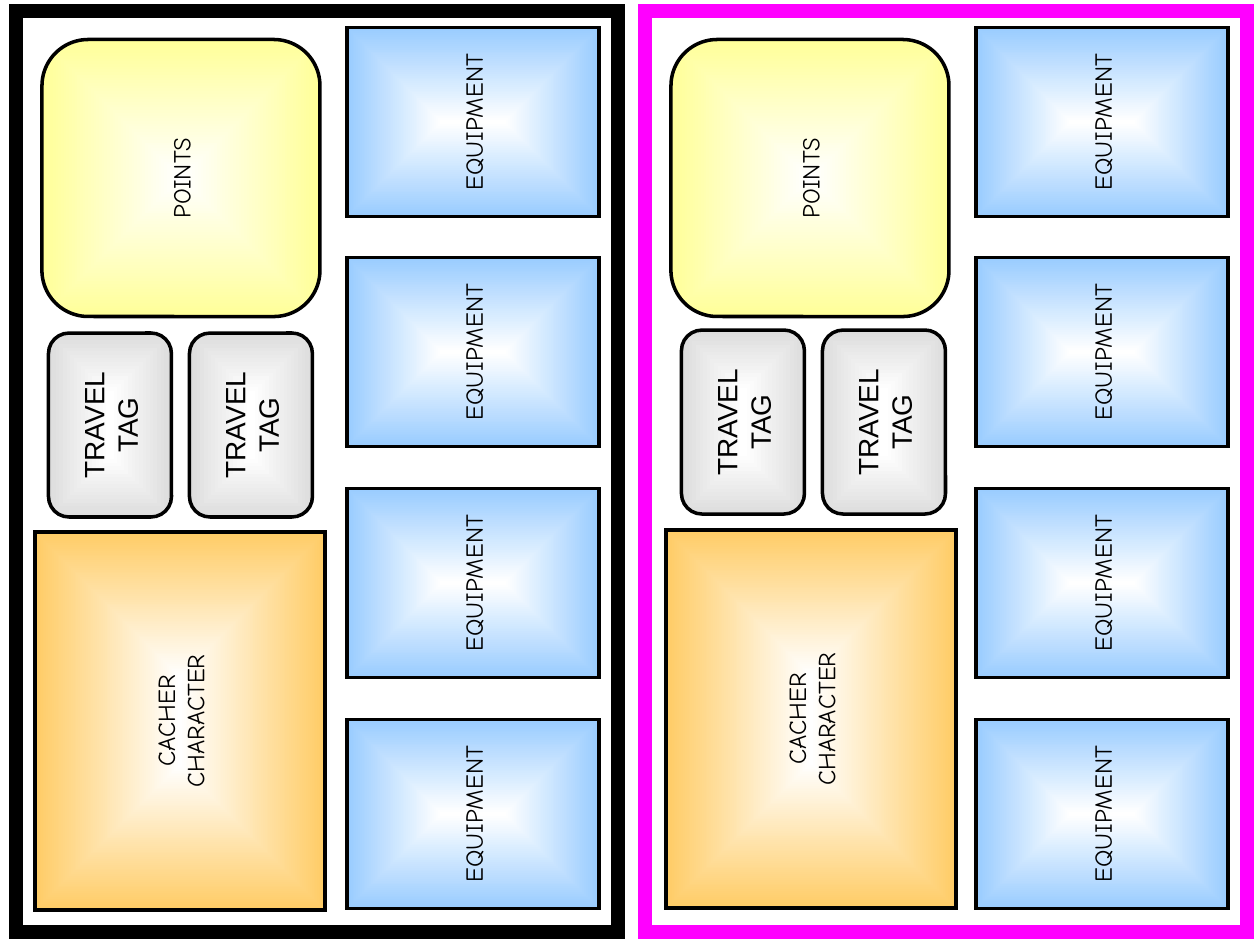
"""Build a slide with two game boards of turned card slots."""
from dataclasses import dataclass

from lxml.etree import SubElement
from pptx import Presentation
from pptx.dml.color import RGBColor as Color
from pptx.enum.shapes import MSO_SHAPE as Kind
from pptx.enum.text import MSO_ANCHOR as Anchor, PP_ALIGN as Align
from pptx.oxml.ns import qn
from pptx.util import Pt

SCALE = 914400 / 126


@dataclass(frozen=True)
class Theme:
    ink: str = "000000"
    pink: str = "FF00FF"
    glow: str = "FFFFFF"
    blue: str = "99CCFF"
    gold: str = "FFFF99"
    gray: str = "DDDDDD"
    tan: str = "FFCC66"
    comic: str = "Comic Neue"
    plain: str = "Arial"
    small: int = 14
    large: int = 16
    thin: int = 2
    thick: int = 8


@dataclass(frozen=True)
class Card:
    label: str
    wide: int
    high: int
    tint: str
    font: str = Theme.comic
    size: int = Theme.small
    kind: Kind = Kind.RECTANGLE


@dataclass(frozen=True)
class Board:
    left: int
    edge: str
    points: tuple[int, int]
    tags: tuple[int, int]
    hero: tuple[int, int]


THEME = Theme()
GEAR = Card("EQUIPMENT", 189, 252, THEME.blue)
POINTS = Card("POINTS", 277, 278, THEME.gold, kind=Kind.ROUNDED_RECTANGLE)
TAG = Card("TRAVEL\nTAG", 184, 123, THEME.gray, THEME.plain, THEME.large,
           Kind.ROUNDED_RECTANGLE)
HERO = Card("CACHER\nCHARACTER", 378, 290, THEME.tan)
BOARDS = (
    Board(16, THEME.ink, (181, 178), (110, 425), (180, 721)),
    Board(645, THEME.pink, (810, 178), (743, 422), (811, 719)),
)


def emu(px: float) -> int:
    """Turn px into EMU."""
    return round(px * SCALE)


def outline(shape, tint: str, width: int) -> None:
    """Give a shape a sharp-cornered line and no shadow."""
    shape.shadow.inherit = False
    shape.line.color.rgb = Color.from_string(tint)
    shape.line.width = Pt(width)
    SubElement(shape.line._get_or_add_ln(), qn("a:miter"), lim="800000")


def shade(shape, inner: str, outer: str) -> None:
    """Fill a shape with a gradient from its centre to its edges."""
    shape.fill.gradient()
    for stop, tint in zip(shape.fill.gradient_stops, (inner, outer)):
        stop.color.rgb = Color.from_string(tint)
    grad = shape._element.spPr.find(qn("a:gradFill"))
    grad.remove(grad.find(qn("a:lin")))
    route = SubElement(grad, qn("a:path"), path="rect")
    SubElement(route, qn("a:fillToRect"), l="50000", t="50000", r="50000", b="50000")


def write(shape, text: str, *, font: str, size: int, tint: str) -> None:
    """Put centred text in a shape, one paragraph a line."""
    frame = shape.text_frame
    frame.word_wrap = False
    frame.vertical_anchor = Anchor.MIDDLE
    frame.text = text
    for para in frame.paragraphs:
        para.alignment = Align.CENTER
        para.font.name = font
        para.font.size = Pt(size)
        para.font.color.rgb = Color.from_string(tint)


def place(slide, card: Card, x: int, y: int) -> None:
    """Draw a card centred on a point and turned to read upward."""
    shape = slide.shapes.add_shape(
        card.kind, emu(x - card.wide / 2), emu(y - card.high / 2),
        emu(card.wide), emu(card.high))
    shape.rotation = 270
    shade(shape, THEME.glow, card.tint)
    outline(shape, THEME.ink, THEME.thin)
    write(shape, card.label, font=card.font, size=card.size, tint=THEME.ink)


def draw(slide, board: Board) -> None:
    """Draw one board with its frame and cards."""
    frame = slide.shapes.add_shape(
        Kind.RECTANGLE, emu(board.left), emu(11), emu(602), emu(921))
    frame.fill.background()
    outline(frame, board.edge, THEME.thick)
    for row in range(4):
        place(slide, GEAR, board.left + 457, 122 + 692 * row // 3)
    place(slide, POINTS, *board.points)
    x, y = board.tags
    for col in range(2):
        place(slide, TAG, x + 141 * col, y)
    place(slide, HERO, *board.hero)


def main() -> None:
    """Build and save the slide."""
    deck = Presentation()
    deck.slide_width, deck.slide_height = emu(1260), emu(945)
    slide = deck.slides.add_slide(deck.slide_layouts[6])
    for board in BOARDS:
        draw(slide, board)
    deck.save("out.pptx")


if __name__ == "__main__":
    main()
